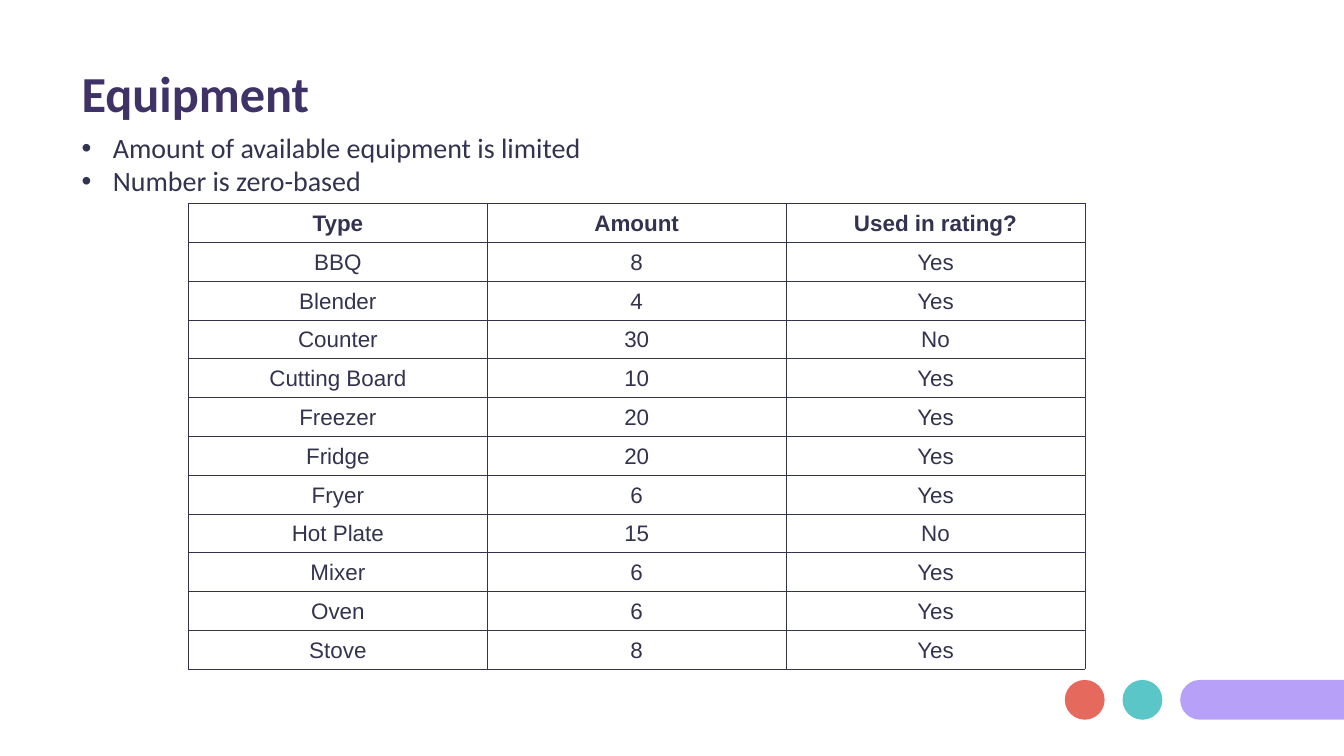
import pptx
import pptx.util
import pptx.dml.color
import pptx.enum.shapes
import pptx.enum.text
import pptx.oxml.ns
import lxml.etree

Inches, Pt = pptx.util.Inches, pptx.util.Pt
Shape = pptx.enum.shapes.MSO_SHAPE
Fit = pptx.enum.text.MSO_AUTO_SIZE
Anchor = pptx.enum.text.MSO_ANCHOR
Align = pptx.enum.text.PP_ALIGN

# Content
TITLE = "Equipment"
POINTS = ["Amount of available equipment is limited", "Number is zero-based"]
ROWS = [
    ("Type", "Amount", "Used in rating?"),
    ("BBQ", "8", "Yes"),
    ("Blender", "4", "Yes"),
    ("Counter", "30", "No"),
    ("Cutting Board", "10", "Yes"),
    ("Freezer", "20", "Yes"),
    ("Fridge", "20", "Yes"),
    ("Fryer", "6", "Yes"),
    ("Hot Plate", "15", "No"),
    ("Mixer", "6", "Yes"),
    ("Oven", "6", "Yes"),
    ("Stove", "8", "Yes"),
]

# Theme: colours and type sizes
INK = "33334F"
THEME = {
    "title": {"name": "Calibri", "size": Pt(72), "bold": True, "color": "3F3266"},
    "point": {"name": "Calibri", "size": Pt(40), "bold": False, "color": INK},
    "head": {"name": "Arial", "size": Pt(32), "bold": True, "color": INK},
    "cell": {"name": "Arial", "size": Pt(32), "bold": False, "color": INK},
    "bar": "B7A0F8", "teal": "5BC6C7", "coral": "E6695E",
}


def tint(code):
    return pptx.dml.color.RGBColor.from_string(code)


def add_sub(node, tag, **attrs):
    return lxml.etree.SubElement(node, pptx.oxml.ns.qn(tag), attrs)


def write(para, text, style):
    para.text = text
    for key, val in THEME[style].items():
        if key == "color":
            para.font.color.rgb = tint(val)
        else:
            setattr(para.font, key, val)


def add_box(slide, left, top, width, height, **form):
    box = slide.shapes.add_textbox(*map(Inches, (left, top, width, height)))
    frame = box.text_frame
    pad = {"margin_" + side: Inches(0.06) for side in ("left", "top", "right", "bottom")}
    for key, val in {**pad, "auto_size": Fit.SHAPE_TO_FIT_TEXT, **form}.items():
        setattr(frame, key, val)
    return frame


def add_dot(slide, kind, left, width, color):
    dot = slide.shapes.add_shape(kind, Inches(left), Inches(13.49), Inches(width), Inches(0.79))
    dot.shadow.inherit = False
    dot.fill.solid()
    dot.fill.fore_color.rgb = tint(THEME[color])
    dot.line.fill.background()
    return dot


def add_edge(cell):
    props = cell._tc.get_or_add_tcPr()
    for side in ("a:lnL", "a:lnR", "a:lnT", "a:lnB"):
        line = add_sub(props, side, w=str(Pt(1)))
        add_sub(add_sub(line, "a:solidFill"), "a:srgbClr", val=INK)


def add_grid(slide, left, top, col, row):
    count, wide = len(ROWS), len(ROWS[0])
    table = slide.shapes.add_table(
        count, wide, Inches(left), Inches(top), Inches(col * wide), Inches(row * count)).table
    table.first_row = table.horz_banding = False
    for band in table.rows:
        band.height = Inches(row)
    for r, texts in enumerate(ROWS):
        for c, text in enumerate(texts):
            cell = table.cell(r, c)
            add_edge(cell)
            cell.fill.background()
            para = cell.text_frame.paragraphs[0]
            write(para, text, "cell" if r else "head")
            para.alignment = Align.CENTER
            para.line_spacing = 1.2


def main():
    deck = pptx.Presentation()
    deck.slide_width, deck.slide_height = Inches(26.67), Inches(15)
    slide = deck.slides.add_slide(deck.slide_layouts[6])

    # Title
    frame = add_box(slide, 1.56, 1.18, 4.7, 1.32,
                    word_wrap=False, vertical_anchor=Anchor.MIDDLE)
    write(frame.paragraphs[0], TITLE, "title")

    # Corner bar and dots, stepping left from the bar
    bar = add_dot(slide, Shape.ROUNDED_RECTANGLE, 23.42, 4, "bar")
    bar.adjustments[0] = 0.5
    for step, color in enumerate(("teal", "coral"), 1):
        add_dot(slide, Shape.OVAL, 23.42 - 1.145 * step, 0.79, color)

    # Bullet points
    frame = add_box(slide, 1.56, 2.55, 16.68, 1.43, word_wrap=True)
    for i, text in enumerate(POINTS):
        para = frame.add_paragraph() if i else frame.paragraphs[0]
        props = para._p.get_or_add_pPr()
        props.set("marL", str(Inches(0.62)))
        props.set("indent", str(-Inches(0.62)))
        add_sub(props, "a:buFont", typeface="Arial")
        add_sub(props, "a:buChar", char="•")
        write(para, text, "point")
        para.line_spacing = Pt(47)

    # Equipment table
    add_grid(slide, 3.74, 4.04, 5.93, 0.77)
    deck.save("out.pptx")


if __name__ == "__main__":
    main()
